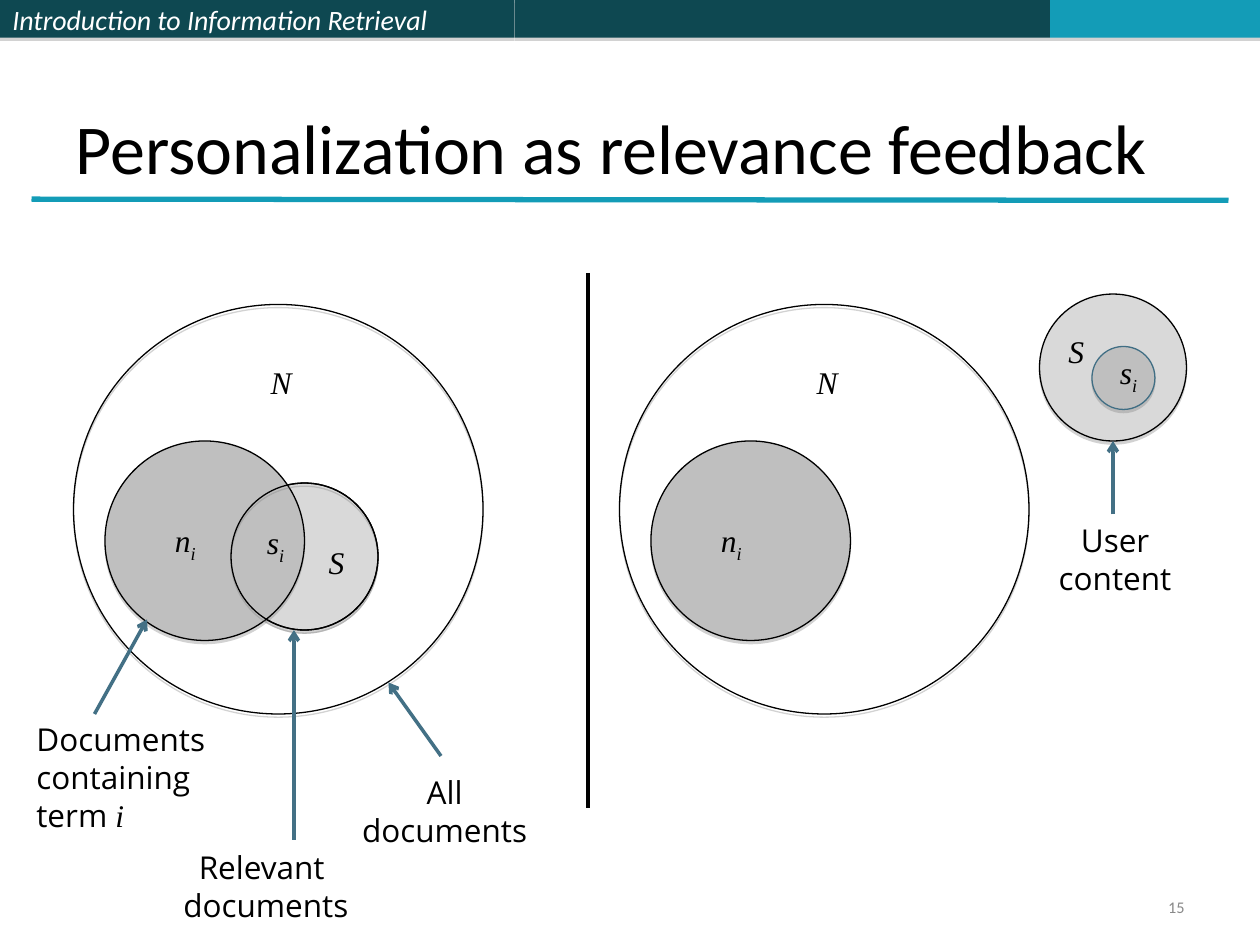
from lxml import etree
from pptx import Presentation
from pptx.dml.color import RGBColor
from pptx.enum.shapes import MSO_CONNECTOR, MSO_SHAPE
from pptx.enum.text import MSO_ANCHOR, MSO_AUTO_SIZE, PP_ALIGN
from pptx.oxml.ns import qn
from pptx.util import Pt

LEFT, CENTER, RIGHT = PP_ALIGN.LEFT, PP_ALIGN.CENTER, PP_ALIGN.RIGHT
TOP, MIDDLE, BOTTOM = MSO_ANCHOR.TOP, MSO_ANCHOR.MIDDLE, MSO_ANCHOR.BOTTOM
RECTANGLE, OVAL = MSO_SHAPE.RECTANGLE, MSO_SHAPE.OVAL
STRAIGHT = MSO_CONNECTOR.STRAIGHT
NO_FIT = MSO_AUTO_SIZE.NONE

TEAL, DARK_TEAL, ARROW_BLUE = "139CB7", "0E4851", "437085"
LIGHT_GRAY, MID_GRAY, BLACK, WHITE = "D9D9D9", "BFBFBF", "000000", "FFFFFF"

HEADING = {"name": "Calibri", "size": Pt(40), "color": BLACK}
HEADER = {"name": "Calibri", "size": Pt(16), "italic": True, "color": WHITE}
NUMBER = {"name": "Calibri", "size": Pt(9.3), "color": "898989"}
LABEL = {"name": "Open Sans", "size": Pt(18), "color": BLACK}
SYMBOL = {"name": "Times New Roman", "size": Pt(18), "italic": True, "color": BLACK}
LABEL_PITCH = Pt(21.7)
SYMBOL_WIDTHS = {"N": 26, "n": 26, "S": 23, "s": 24.5}
PANEL_STEP = 312


def rgb(color):
    return RGBColor.from_string(color)


class SlideWriter:
    def __init__(self, slide):
        self.slide = slide
        self.shapes = slide.shapes

    def fill_text(self, frame, paragraphs, align=LEFT, anchor=TOP, wrap=False, spacing=None):
        """Write paragraphs, each a list of (text, format) spans."""
        settings = {"auto_size": NO_FIT, "word_wrap": wrap, "vertical_anchor": anchor}
        for name, value in settings.items():
            setattr(frame, name, value)
        for index, spans in enumerate(paragraphs):
            para = frame.add_paragraph() if index else frame.paragraphs[0]
            para.alignment = align
            para.line_spacing = spacing
            for text, style in spans:
                span = para.add_run()
                span.text = text
                for name, value in style.items():
                    if name == "color":
                        span.font.color.rgb = rgb(value)
                    elif name == "baseline":
                        span.font._element.set("baseline", value)
                    else:
                        setattr(span.font, name, value)

    def title(self, text, left, top, width, height):
        box = self.shapes.title
        box.left, box.top, box.width, box.height = map(Pt, (left, top, width, height))
        self.fill_text(box.text_frame, [[(text, HEADING)]], anchor=BOTTOM, wrap=True)

    def text(self, left, top, width, height, paragraphs, **layout):
        box = self.shapes.add_textbox(*map(Pt, (left, top, width, height)))
        self.fill_text(box.text_frame, paragraphs, **layout)

    def label(self, left, top, width, lines, align=CENTER):
        height = 7.2 + 21.6 * len(lines)
        self.text(left, top, width, height, lines, align=align, spacing=LABEL_PITCH)

    def symbol(self, left, top, letter, index=""):
        spans = [(letter, SYMBOL)]
        if index:
            spans.append((index, {**SYMBOL, "baseline": "-25000"}))
        self.text(left, top, SYMBOL_WIDTHS[letter], 32 if index else 29, [spans])

    def shape(self, kind, left, top, width, height, fill=None, line=None):
        """Add a preset shape with a thin gray shadow below it."""
        shape = self.shapes.add_shape(kind, *map(Pt, (left, top, width, height)))
        shape.shadow.inherit = False
        if fill:
            shape.fill.solid()
            shape.fill.fore_color.rgb = rgb(fill)
        else:
            shape.fill.background()
        if line:
            shape.line.color.rgb = rgb(line)
            shape.line.width = Pt(0.75)
        else:
            shape.line.fill.background()
        effects = shape._element.spPr.find(qn("a:effectLst"))
        shadow = etree.SubElement(effects, qn("a:outerShdw"), blurRad="0", dist=str(Pt(1.8)),
                                  dir="5400000", algn="ctr", rotWithShape="0")
        color = etree.SubElement(shadow, qn("a:srgbClr"), val="808080")
        etree.SubElement(color, qn("a:alpha"), val="35000")
        return shape

    def circle(self, left, top, size, fill=None, line=BLACK):
        self.shape(OVAL, left, top, size, size, fill, line)

    def line(self, start, end, color, width=2, arrow=False):
        line = self.shapes.add_connector(STRAIGHT, *map(Pt, (*start, *end)))
        line.line.color.rgb = rgb(color)
        line.line.width = Pt(width)
        if arrow:
            etree.SubElement(line.line._get_or_add_ln(), qn("a:tailEnd"), type="arrow")
        etree.SubElement(line._element.spPr, qn("a:effectLst"))

    def arrow(self, start, end):
        self.line(start, end, ARROW_BLUE, arrow=True)


def draw_frame(page):
    banner = page.shape(RECTANGLE, 0, 0, 294, 21.6, DARK_TEAL)
    page.fill_text(banner.text_frame, [[("Introduction to Information Retrieval", HEADER)]],
                   anchor=MIDDLE, wrap=True)
    page.shape(RECTANGLE, 294, 0, 306, 21.6, DARK_TEAL)
    page.shape(RECTANGLE, 600, 0, 120, 21.6, TEAL)
    page.line((18, 113.8), (702, 114.5), TEAL, width=3)
    page.title("Personalization as relevance feedback", 36, 21.6, 648, 90)
    page.text(516, 510, 168, 19.2, [[("15", NUMBER)]],
              align=RIGHT, anchor=MIDDLE, wrap=True, spacing=0.8)


def draw_collection(page, offset, with_relevant):
    """Draw all documents, those holding the term and, if asked, the relevant ones."""
    page.circle(42 + offset, 174, 234)
    if with_relevant:
        page.circle(132 + offset, 276, 84, LIGHT_GRAY)
    page.circle(60 + offset, 252, 114, MID_GRAY)
    if with_relevant:
        page.circle(132 + offset, 276, 84)
        page.symbol(180.7 + offset, 306.7, "S")
        page.symbol(145.4 + offset, 295.2, "s", "i")
    page.symbol(147.6 + offset, 204, "N")
    page.symbol(92.8 + offset, 294, "n", "i")


def draw_user_content(page):
    page.circle(594, 168, 84, LIGHT_GRAY)
    page.symbol(603.4, 186, "S")
    page.circle(624, 198, 36, MID_GRAY, line="406E84")
    page.symbol(632.9, 198, "s", "i")
    page.arrow((636, 294), (636, 252))
    page.label(597.6, 294, 79.2, [[("User", LABEL)], [("content", LABEL)]])


def draw_callouts(page):
    page.arrow((252, 432), (222, 390))
    page.label(199.4, 438, 109.4, [[("All", LABEL)], [("documents", LABEL)]])
    page.arrow((54, 408), (84, 354))
    page.label(13.7, 408, 111.6, [[("Documents", LABEL)], [("containing", LABEL)],
                                  [("term ", LABEL), ("i", SYMBOL)]], align=LEFT)
    page.arrow((168, 480), (168, 360))
    page.label(97.2, 481, 109.4, [[("Relevant ", LABEL)], [("documents", LABEL)]])


def main():
    deck = Presentation()
    deck.slide_width, deck.slide_height = Pt(720), Pt(540)
    page = SlideWriter(deck.slides.add_slide(deck.slide_layouts[5]))
    draw_frame(page)
    draw_collection(page, 0, with_relevant=True)
    draw_callouts(page)
    page.line((336, 156), (336, 462), BLACK)
    draw_collection(page, PANEL_STEP, with_relevant=False)
    draw_user_content(page)
    deck.save("out.pptx")


if __name__ == "__main__":
    main()
